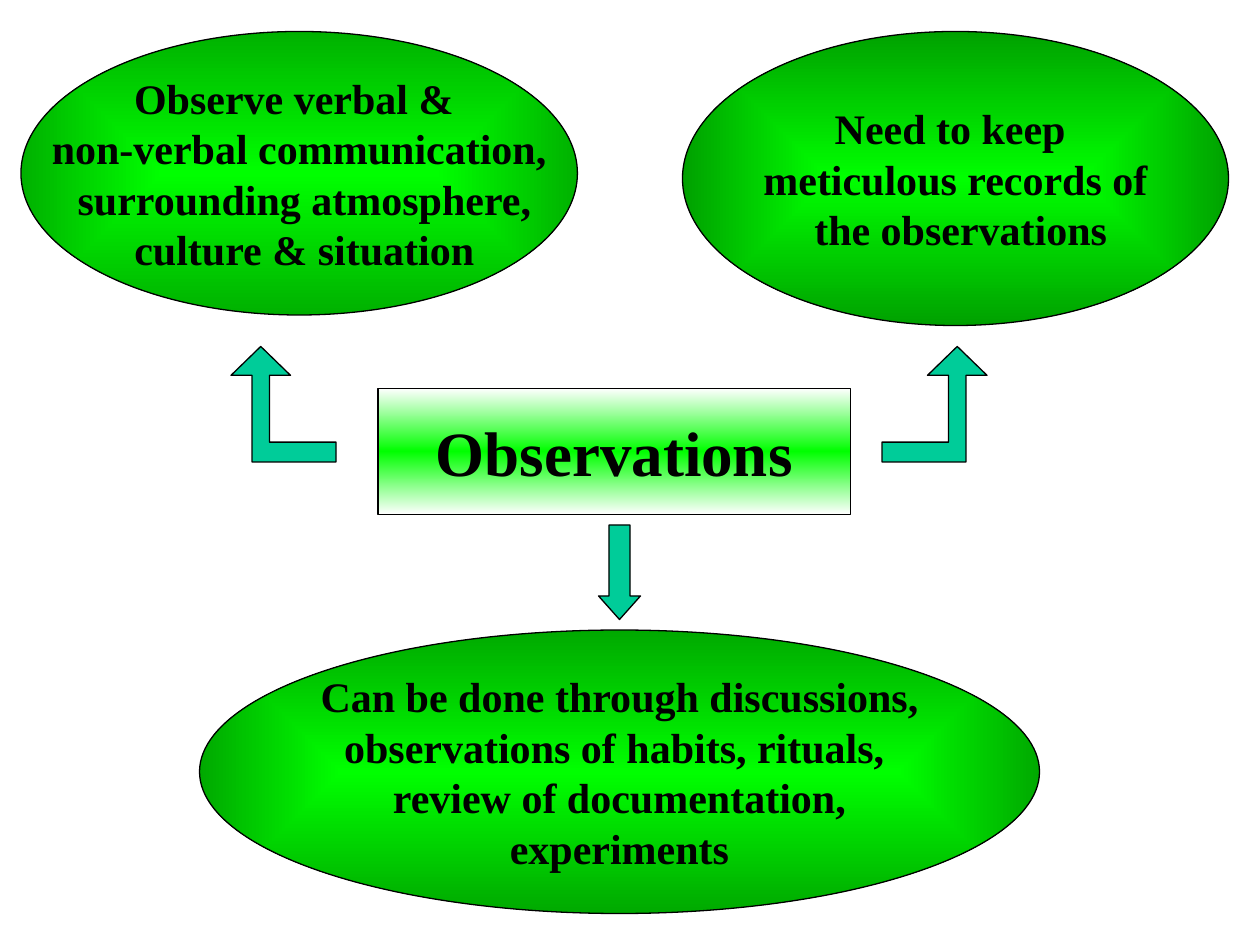
"""Build the Observations slide: a central box with arrows to three ellipses."""
from pptx import Presentation
from pptx.dml.color import RGBColor as RGB
from pptx.enum.shapes import MSO_SHAPE as SHAPE
from pptx.enum.text import MSO_ANCHOR as ANCHOR, PP_ALIGN as ALIGN
from pptx.oxml import parse_xml
from pptx.oxml.ns import nsdecls
from pptx.util import Pt

COLORS = {
    "ink": "000000",
    "white": "FFFFFF",
    "bright": "00FF00",
    "verbal_edge": "00B100",
    "records_edge": "00A100",
    "methods_edge": "00A900",
    "arrow": "00CC99",
}
FONT = "Times New Roman"
LINEAR = '<a:lin ang="5400000" scaled="0"/>'
RADIAL = ('<a:path path="rect"><a:fillToRect l="50000" t="50000" '
          'r="50000" b="50000"/></a:path>')
MIRROR = 696
BENT_ARROW = [(504, 252.7), (542, 252.7), (542, 214.5), (530, 214.5), (547, 198),
              (564, 214.5), (552, 214.5), (552, 264), (504, 264)]


def style_outline(sp):
    sp.shadow.inherit = False
    sp.line.color.rgb = RGB.from_string(COLORS["ink"])
    sp.line.width = Pt(0.74)


def fill_solid(sp, color):
    sp.fill.solid()
    sp.fill.fore_color.rgb = RGB.from_string(COLORS[color])


def fill_gradient(sp, colors, direction):
    step = 100000 // (len(colors) - 1)
    stops = "".join(
        f'<a:gs pos="{i * step}"><a:srgbClr val="{COLORS[c]}"/></a:gs>'
        for i, c in enumerate(colors))
    xml = (f'<a:gradFill {nsdecls("a")} rotWithShape="1">'
           f'<a:gsLst>{stops}</a:gsLst>{direction}</a:gradFill>')
    sp.element.spPr.find(".//{*}prstGeom").addnext(parse_xml(xml))


def add_text(sp, lines, size):
    tf = sp.text_frame
    tf.word_wrap = False
    tf.vertical_anchor = ANCHOR.MIDDLE
    for i, line in enumerate(lines):
        p = tf.add_paragraph() if i else tf.paragraphs[0]
        p.alignment = ALIGN.CENTER
        r = p.add_run()
        r.text = line
        r.font.name = FONT
        r.font.size = Pt(size)
        r.font.bold = True
        r.font.color.rgb = RGB.from_string(COLORS["ink"])


def add_preset(s, kind, box):
    sp = s.shapes.add_shape(kind, *map(Pt, box))
    style_outline(sp)
    return sp


def add_ellipse(s, box, edge, lines):
    sp = add_preset(s, SHAPE.OVAL, box)
    fill_gradient(sp, ["bright", edge], RADIAL)
    add_text(sp, lines, 24)


def add_title_box(s, box, title):
    sp = add_preset(s, SHAPE.RECTANGLE, box)
    fill_gradient(sp, ["white", "bright", "white"], LINEAR)
    add_text(sp, [title], 36)


def add_bent_arrow(s, points):
    start, *rest = [(Pt(x), Pt(y)) for x, y in points]
    builder = s.shapes.build_freeform(*start)
    builder.add_line_segments(rest, close=True)
    sp = builder.convert_to_shape()
    style_outline(sp)
    fill_solid(sp, "arrow")


def add_down_arrow(s, box):
    sp = add_preset(s, SHAPE.DOWN_ARROW, box)
    sp.adjustments[0] = 0.5
    sp.adjustments[1] = 0.56
    fill_solid(sp, "arrow")


def main():
    prs = Presentation()
    prs.slide_width, prs.slide_height = Pt(720), Pt(540)
    s = prs.slides.add_slide(prs.slide_layouts[6])
    add_ellipse(s, (12, 18, 318, 162), "verbal_edge", [
        "Observe verbal & ", "non-verbal communication,",
        " surrounding atmosphere,", " culture & situation"])
    add_title_box(s, (216, 222, 270, 72), "Observations")
    add_ellipse(s, (390, 18, 312, 168), "records_edge", [
        "Need to keep ", "meticulous records of", " the observations"])
    add_ellipse(s, (114, 360, 480, 162), "methods_edge", [
        "Can be done through discussions,", "observations of habits, rituals, ",
        "review of documentation,", "experiments"])
    add_bent_arrow(s, BENT_ARROW)
    add_bent_arrow(s, [(MIRROR - x, y) for x, y in BENT_ARROW])
    add_down_arrow(s, (342, 300, 24, 54))
    prs.save("out.pptx")


main()
